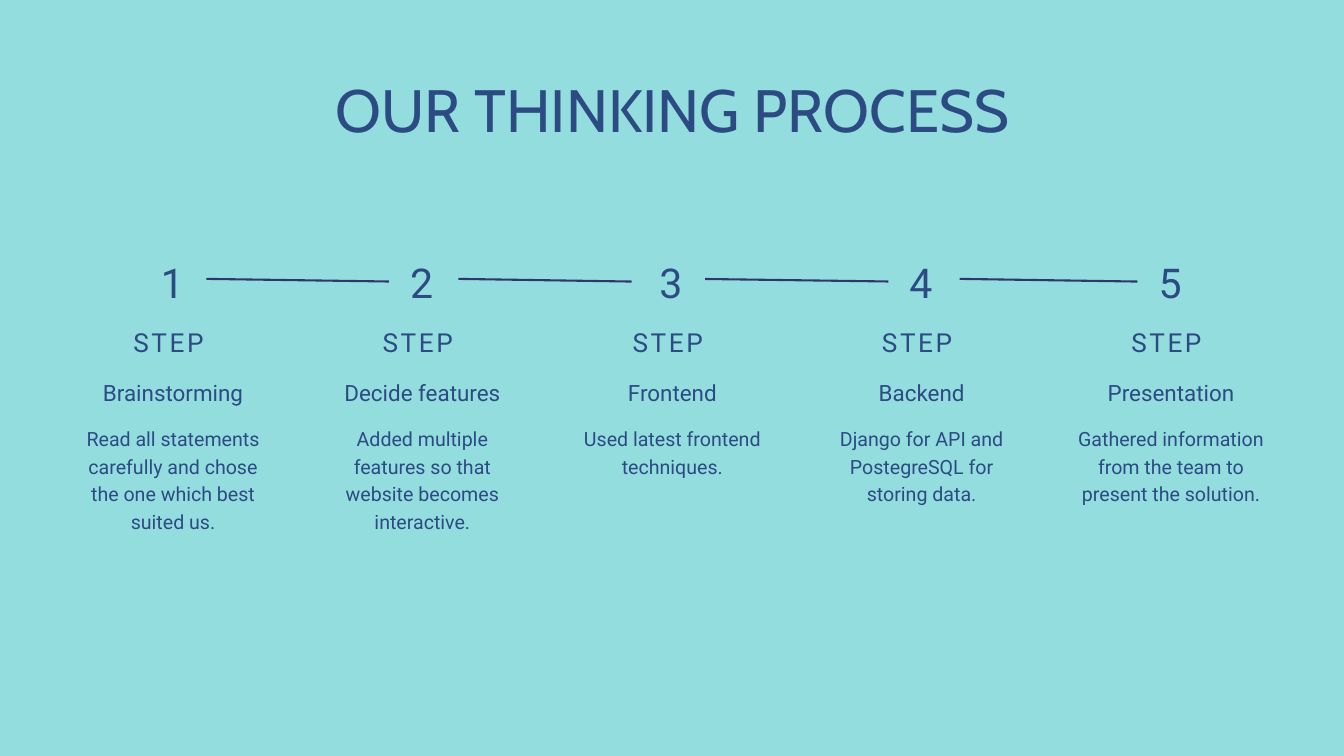
from pptx import Presentation
from pptx.dml.color import RGBColor
from pptx.enum.shapes import MSO_CONNECTOR, MSO_SHAPE
from pptx.enum.text import MSO_ANCHOR, MSO_AUTO_SIZE, PP_ALIGN
from pptx.oxml.ns import qn
from pptx.util import Pt
from lxml import etree

PX = 9144  # EMU, 100 px to the inch
COLORS = {"background": "94DDDE", "text": "2B4B82", "line": "31356E"}
FIRST_CENTER, COLUMN_PITCH = 257.5, 371.25
NUMBER_SIZE = 97

# heading, description, column width, lines in the description
STEPS = [
    ("Brainstorming", "Read all statements carefully and chose the one which best suited us.", 269, 4),
    ("Decide features", "Added multiple features so that website becomes interactive.", 263, 4),
    ("Frontend", "Used latest frontend techniques.", 269, 2),
    ("Backend", "Django for API and PostegreSQL for storing data.", 293, 3),
    ("Presentation", "Gathered information from the team to present the solution.", 309, 3),
]
LINE_SPANS = [(307, 583), (682, 940), (1039, 1329), (1428, 1693)]


def color(name):
    return RGBColor.from_string(COLORS[name])


def box(*lengths):
    return [round(length) * PX for length in lengths]


def add_text(shapes, text, bounds, size, leading, font="Roboto", spacing=0, middle=False):
    """Add a centred line of text; leading and letter spacing are in points."""
    shape = shapes.add_textbox(*box(*bounds))
    frame = shape.text_frame
    frame.word_wrap = True
    frame.margin_left = frame.margin_right = frame.margin_top = frame.margin_bottom = 0
    if middle:
        frame.vertical_anchor = MSO_ANCHOR.MIDDLE
    else:
        frame.auto_size = MSO_AUTO_SIZE.SHAPE_TO_FIT_TEXT
    paragraph = frame.paragraphs[0]
    paragraph.alignment = PP_ALIGN.CENTER
    paragraph.line_spacing = Pt(leading)
    run = paragraph.add_run()
    run.text = text
    run.font.name = font
    run.font.size = Pt(size)
    run.font.color.rgb = color("text")
    if spacing:
        run.font._element.set("spc", str(round(spacing * 100)))


def add_line(shapes, start, end):
    connector = shapes.add_connector(MSO_CONNECTOR.STRAIGHT, *box(start, 415, end, 419))
    connector.line.color.rgb = color("line")
    connector.line.width = Pt(2.25)
    etree.SubElement(connector._element.spPr, qn("a:effectLst"))


def add_number(slide, number, center):
    """Add a step number, on a patch that trims the line running into it."""
    group = slide.shapes.add_group_shape()
    left = center - 49.5
    if number > 1:
        patch = group.shapes.add_shape(MSO_SHAPE.RECTANGLE, *box(left, 369, 99, NUMBER_SIZE))
        patch.shadow.inherit = False
        patch.fill.solid()
        patch.fill.fore_color.rgb = color("background")
        patch.line.fill.background()
    add_text(group.shapes, str(number), (left, 360, NUMBER_SIZE, 106), 44, 61.6,
             spacing=7.5, middle=True)


def add_step(slide, center, heading, description, width, lines):
    shapes = slide.shapes.add_group_shape().shapes
    left = center - width / 2
    add_text(shapes, "STEP ", (left, 478, width, 51), 28, 39.2, spacing=2.8)
    add_text(shapes, heading, (left, 558, width, 43), 24, 33.6)
    add_text(shapes, description, (left, 630, width, 40 * lines), 21, 29.4)


def main():
    presentation = Presentation()
    presentation.slide_width, presentation.slide_height = box(2000, 1125)
    slide = presentation.slides.add_slide(presentation.slide_layouts[6])
    slide.background.fill.solid()
    slide.background.fill.fore_color.rgb = color("background")

    for start, end in LINE_SPANS:
        add_line(slide.shapes, start, end)
    add_text(slide.shapes, "OUR THINKING PROCESS", (118, 122, 1765, 97), 64, 67.2, font="Cabin")
    for index, step in enumerate(STEPS):
        center = FIRST_CENTER + index * COLUMN_PITCH
        add_number(slide, index + 1, center)
        add_step(slide, center, *step)

    presentation.save("out.pptx")


if __name__ == "__main__":
    main()
